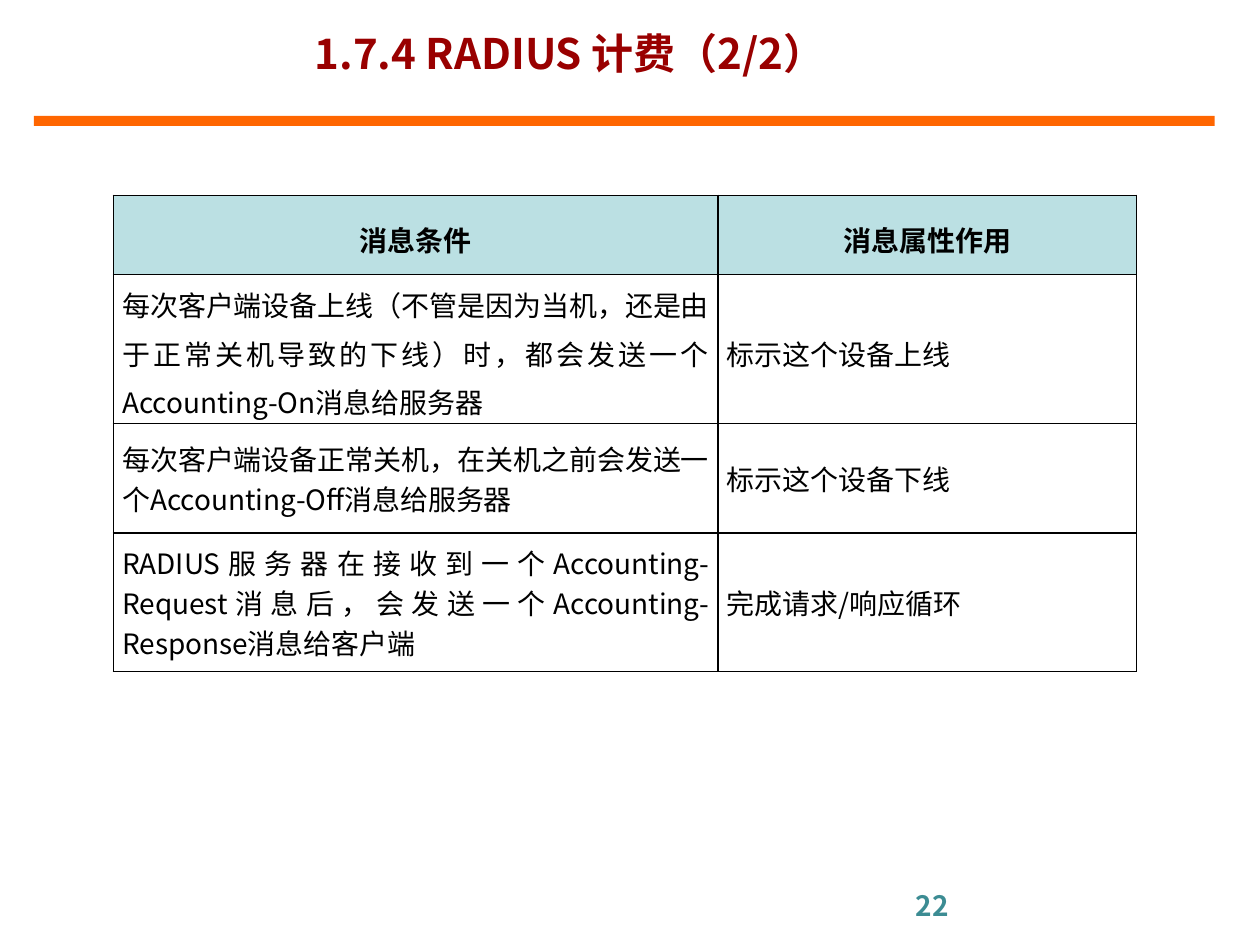
from dataclasses import dataclass

import pptx
import pptx.dml.color
import pptx.enum.shapes
import pptx.enum.text
import pptx.oxml.ns
import pptx.util
from lxml import etree

FONT = "Noto Sans CJK SC"
GRID = 0.1  # inches per grid column and row; the slide is 100 by 75
ALIGN = pptx.enum.text.PP_ALIGN
ANCHOR = pptx.enum.text.MSO_ANCHOR


@dataclass
class Area:
    column: float
    row: float
    columns: float
    rows: float


@dataclass
class TextStyle:
    size: int
    color: str
    bold: bool = False
    align: ALIGN = ALIGN.LEFT
    line_spacing: float = 1.0


@dataclass
class TableRow:
    height: float
    texts: tuple[str, str]
    style: TextStyle
    fill: str | None = None


def grid(units: float) -> pptx.util.Emu:
    return pptx.util.Inches(units * GRID)


def place(area: Area) -> list[pptx.util.Emu]:
    return [grid(units) for units in (area.column, area.row, area.columns, area.rows)]


def rgb(color: str) -> pptx.dml.color.RGBColor:
    return pptx.dml.color.RGBColor.from_string(color)


def write(text_frame, text: str, style: TextStyle) -> None:
    paragraph = text_frame.paragraphs[0]
    paragraph.text = text
    paragraph.alignment = style.align
    paragraph.line_spacing = style.line_spacing
    font = paragraph.font
    font.size = pptx.util.Pt(style.size)
    font.bold = style.bold
    font.color.rgb = rgb(style.color)
    font.name = FONT
    # East Asian characters take their own typeface element
    properties = paragraph._p.pPr.find(pptx.oxml.ns.qn("a:defRPr"))
    etree.SubElement(properties, pptx.oxml.ns.qn("a:ea"), typeface=FONT)


def add_text(slide, area: Area, text: str, style: TextStyle, anchor: ANCHOR) -> None:
    text_frame = slide.shapes.add_textbox(*place(area)).text_frame
    text_frame.word_wrap = True
    text_frame.vertical_anchor = anchor
    write(text_frame, text, style)


def add_bar(slide, area: Area, color: str) -> None:
    bar = slide.shapes.add_shape(pptx.enum.shapes.MSO_SHAPE.RECTANGLE, *place(area))
    bar.shadow.inherit = False
    bar.fill.solid()
    bar.fill.fore_color.rgb = rgb(color)
    bar.line.fill.background()


def set_borders(cell, color: str, points: float) -> None:
    qn = pptx.oxml.ns.qn
    properties = cell._tc.get_or_add_tcPr()
    for side in ("lnL", "lnR", "lnT", "lnB"):
        line = etree.SubElement(properties, qn(f"a:{side}"), w=str(pptx.util.Pt(points)))
        fill = etree.SubElement(line, qn("a:solidFill"))
        etree.SubElement(fill, qn("a:srgbClr"), val=color)


def fill_cell(cell, text: str, row: TableRow) -> None:
    cell.margin_left = cell.margin_right = pptx.util.Inches(0.07)
    cell.margin_top = cell.margin_bottom = 0
    cell.vertical_anchor = ANCHOR.MIDDLE
    set_borders(cell, "000000", 1)
    if row.fill:
        cell.fill.solid()
        cell.fill.fore_color.rgb = rgb(row.fill)
    else:
        cell.fill.background()
    write(cell.text_frame, text, row.style)


def add_message_table(slide, column: float, top: float,
                      widths: list[float], rows: list[TableRow]) -> None:
    area = Area(column, top, sum(widths), sum(row.height for row in rows))
    table = slide.shapes.add_table(len(rows), len(widths), *place(area)).table
    table.first_row = table.horz_banding = False
    for table_column, width in zip(table.columns, widths):
        table_column.width = grid(width)
    for table_row, row in zip(table.rows, rows):
        table_row.height = grid(row.height)
        for cell, text in zip(table_row.cells, row.texts):
            fill_cell(cell, text, row)


HEADER = TextStyle(16, "000000", bold=True, align=ALIGN.CENTER, line_spacing=1.2)
LOOSE = TextStyle(16, "000000", align=ALIGN.JUSTIFY, line_spacing=1.2)
BODY = TextStyle(16, "000000", align=ALIGN.JUSTIFY)

MESSAGES = [
    TableRow(6.3, ("消息条件", "消息属性作用"), HEADER, "BBE0E3"),
    TableRow(11.8, ("每次客户端设备上线（不管是因为当机，还是由于正常关机导致的下线）时，"
                    "都会发送一个Accounting-On消息给服务器", "标示这个设备上线"), LOOSE),
    TableRow(8.7, ("每次客户端设备正常关机，在关机之前会发送一个Accounting-Off消息给服务器",
                   "标示这个设备下线"), BODY),
    TableRow(11, ("RADIUS服务器在接收到一个Accounting-Request消息后，"
                  "会发送一个Accounting-Response消息给客户端", "完成请求/响应循环"), BODY),
]


def main() -> None:
    presentation = pptx.Presentation()
    presentation.slide_width = grid(100)
    presentation.slide_height = grid(75)
    slide = presentation.slides.add_slide(presentation.slide_layouts[6])

    # Rule under the title, and page number
    add_bar(slide, Area(2.7, 9.2, 93.7, 0.8), "FF6600")
    add_text(slide, Area(71.7, 70, 23.3, 5.2), "22",
             TextStyle(16, "3C8C93", bold=True), ANCHOR.TOP)

    # Title
    add_text(slide, Area(24, 0.4, 48.8, 7.6), "1.7.4 RADIUS 计费（2/2）",
             TextStyle(24, "990000", bold=True), ANCHOR.MIDDLE)

    # Accounting messages
    add_message_table(slide, 9, 15.5, [48, 33.2], MESSAGES)

    presentation.save("out.pptx")


if __name__ == "__main__":
    main()
